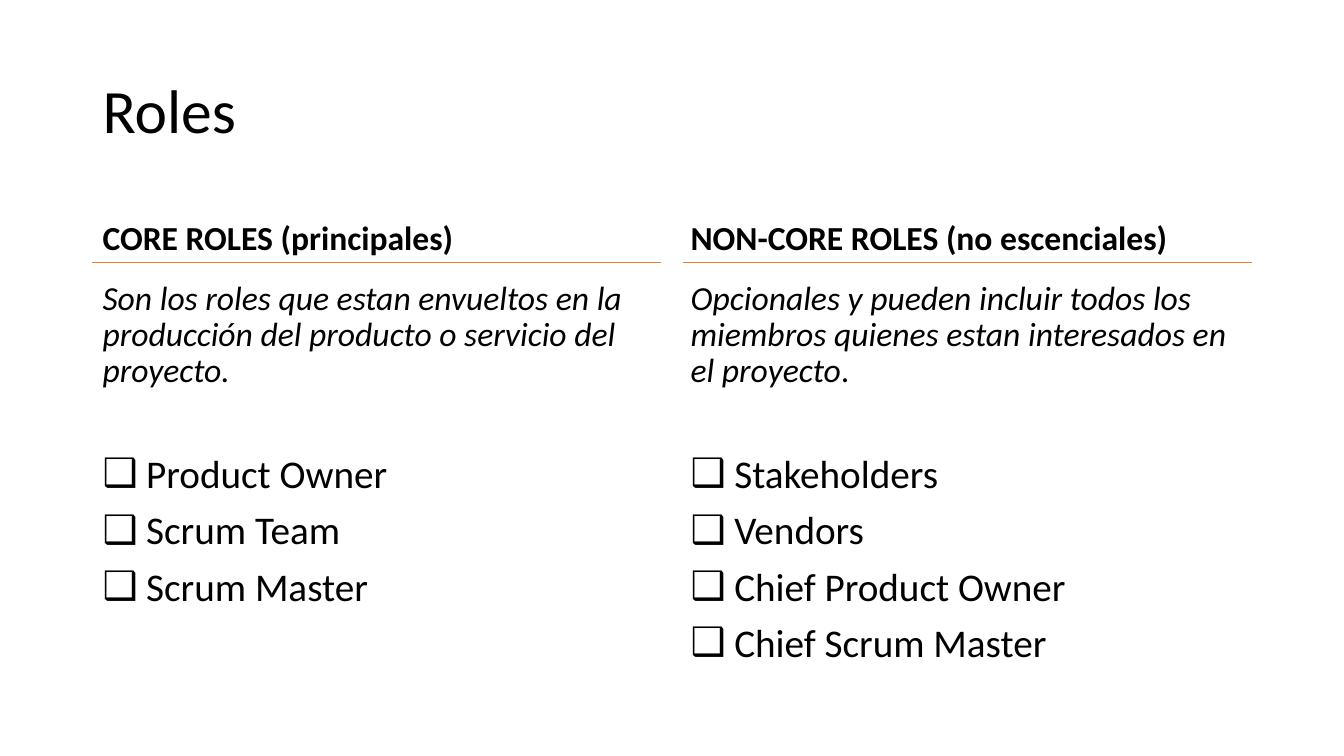
from lxml import etree
from pptx import Presentation
from pptx import util as u
from pptx.dml.color import RGBColor
from pptx.enum import shapes, text
from pptx.oxml import ns

HUES = {"ink": "000000", "rule": "ED7D31"}
COLS = [
    (2.33, 14.33, 2.33, "CORE ROLES (principales)",
     ["Son los roles que estan envueltos en la producción del producto o servicio del proyecto."],
     ["Product Owner", "Scrum Team", "Scrum Master"]),
    (17.15, 14.4, 17.22, "NON-CORE ROLES (no escenciales)",
     ["Opcionales y pueden incluir todos los miembros quienes estan interesados en el proyecto", "."],
     ["Stakeholders", "Vendors", "Chief Product Owner", "Chief Scrum Master"]),
]


def place(box, left, top, width, height, anchor):
    box.left, box.top = u.Cm(left), u.Cm(top)
    box.width, box.height = u.Cm(width), u.Cm(height)
    frame = box.text_frame
    frame.word_wrap = True
    frame.auto_size = text.MSO_AUTO_SIZE.NONE
    frame.vertical_anchor = anchor
    return frame


def style(para, size, before=0, bold=False, mark=None):
    props = para._p.get_or_add_pPr()
    indent = u.Cm(1.1) if mark else 0
    props.set("marL", str(indent))
    props.set("indent", str(-indent))
    if mark:
        etree.SubElement(props, ns.qn("a:buChar")).set("char", mark)
    else:
        etree.SubElement(props, ns.qn("a:buNone"))
    para.alignment = text.PP_ALIGN.LEFT
    para.line_spacing = 0.9
    para.space_before = u.Pt(before)
    para.font.name = "Calibri"
    para.font.size = u.Pt(size)
    para.font.bold = bold
    para.font.color.rgb = RGBColor.from_string(HUES["ink"])


deck = Presentation()
deck.slide_width, deck.slide_height = u.Cm(33.87), u.Cm(19.05)
slide = deck.slides.add_slide(deck.slide_layouts[4])
holders = slide.placeholders

title = place(slide.shapes.title, 2.33, 1.02, 29.21, 3.68, text.MSO_ANCHOR.MIDDLE)
title.text = "Roles"
style(title.paragraphs[0], 44)

for n, (left, width, start, name, intro, roles) in enumerate(COLS):
    head = place(holders[2 * n + 1], left, 4.32, width, 2.29, text.MSO_ANCHOR.BOTTOM)
    head.text = name
    style(head.paragraphs[0], 24, bold=True)

    body = place(holders[2 * n + 2], left, 6.96, width, 10.24, text.MSO_ANCHOR.TOP)
    lead = body.paragraphs[0]
    style(lead, 24)
    for part in intro:
        run = lead.add_run()
        run.text = part
        run.font.italic = part != "."
    for i, role in enumerate(roles):
        item = body.add_paragraph()
        item.text = role
        style(item, 28, before=10 if i else 46, mark="❑")

    rule = slide.shapes.add_connector(
        shapes.MSO_CONNECTOR.STRAIGHT,
        u.Cm(start), u.Cm(6.6), u.Cm(start + 14.33), u.Cm(6.6))
    rule.line.color.rgb = RGBColor.from_string(HUES["rule"])
    rule.line.width = u.Pt(0.5)
    etree.SubElement(rule._element.spPr, ns.qn("a:effectLst"))

deck.save("out.pptx")
